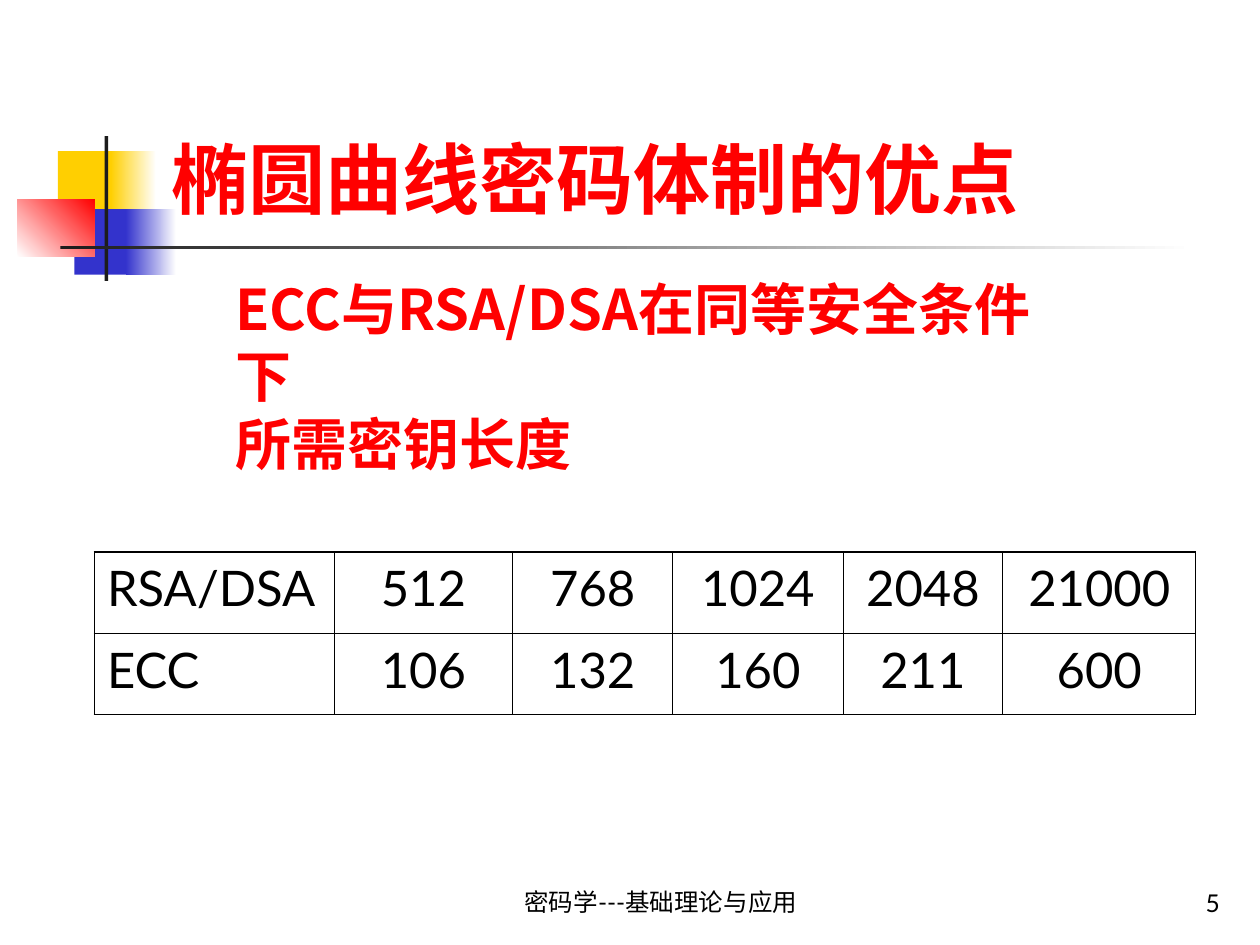
from lxml import etree
from pptx import Presentation
from pptx.dml.color import RGBColor
from pptx.enum.shapes import MSO_SHAPE
from pptx.enum.text import MSO_ANCHOR, PP_ALIGN
from pptx.oxml.ns import qn
from pptx.util import Inches, Pt

RECT = MSO_SHAPE.RECTANGLE
BOTTOM = MSO_ANCHOR.BOTTOM
LEFT, CENTER, RIGHT = PP_ALIGN.LEFT, PP_ALIGN.CENTER, PP_ALIGN.RIGHT

COLORS = {
    "white": "FFFFFF",
    "black": "000000",
    "ink": "1C1C1C",
    "red": "FF0000",
    "yellow": "FFCF01",
    "blue": "3333CC",
}
LATIN, CJK = "Lato", "Noto Sans CJK SC"
THIN, THICK = 0.45, 1.08


def rgb(name):
    return RGBColor.from_string(COLORS[name])


class Deck:
    """Holds the style and the current slide."""

    def __init__(self):
        self.prs = Presentation()
        self.prs.slide_width = Inches(10)
        self.prs.slide_height = Inches(7.5)
        self.s = self.prs.slides.add_slide(self.prs.slide_layouts[6])

    def font(self, p, size, color="black", bold=False, name=LATIN):
        f = p.font
        f.size, f.bold, f.name = Pt(size), bold, name
        f.color.rgb = rgb(color)
        # East Asian typeface follows the latin one
        latin = p._p.pPr.find(qn("a:defRPr")).find(qn("a:latin"))
        ea = etree.Element(qn("a:ea"), typeface=CJK)
        latin.addnext(ea)

    def rect(self, x, y, w, h, color, fade_to=None, angle=0):
        sp = self.s.shapes.add_shape(RECT, Inches(x), Inches(y), Inches(w), Inches(h))
        sp.shadow.inherit = False
        sp.line.fill.background()
        if fade_to:
            sp.fill.gradient()
            sp.fill.gradient_angle = angle
            for stop, name in zip(sp.fill.gradient_stops, (color, fade_to)):
                stop.color.rgb = rgb(name)
        else:
            sp.fill.solid()
            sp.fill.fore_color.rgb = rgb(color)

    def text(self, x, y, w, h, text, size, align=LEFT, **style):
        sp = self.s.shapes.add_textbox(Inches(x), Inches(y), Inches(w), Inches(h))
        tf = sp.text_frame
        tf.word_wrap = True
        tf.vertical_anchor = BOTTOM
        p = tf.paragraphs[0]
        p.text = text
        p.alignment = align
        self.font(p, size, **style)

    def border(self, cell, sides):
        tcPr = cell._tc.get_or_add_tcPr()
        for i, (side, width) in enumerate(sides.items()):
            ln = etree.Element(qn(f"a:ln{side}"), w=str(Pt(width)))
            fill = etree.SubElement(ln, qn("a:solidFill"))
            etree.SubElement(fill, qn("a:srgbClr"), val=COLORS["black"])
            tcPr.insert(i, ln)

    def table(self, x, y, widths, heights, rows, size):
        n_rows, n_cols = len(rows), len(widths)
        tbl = self.s.shapes.add_table(
            n_rows, n_cols, Inches(x), Inches(y),
            Inches(sum(widths)), Inches(sum(heights))).table
        tbl.first_row = tbl.horz_banding = False
        for col, w in zip(tbl.columns, widths):
            col.width = Inches(w)
        for r, (row, h) in enumerate(zip(rows, heights)):
            tbl.rows[r].height = Inches(h)
            for c, value in enumerate(row):
                cell = tbl.cell(r, c)
                cell.fill.background()
                p = cell.text_frame.paragraphs[0]
                p.text = value
                p.alignment = CENTER if c else LEFT
                self.font(p, size)
                # Thick lines on the outer edge only
                self.border(cell, {
                    "L": THICK if c == 0 else THIN,
                    "R": THICK if c == n_cols - 1 else THIN,
                    "T": THICK if r == 0 else THIN,
                    "B": THICK if r == n_rows - 1 else THIN,
                })


def main():
    deck = Deck()

    # Corner ornament: coloured blocks, vertical bar and fading rule
    deck.rect(0.46, 1.2, 0.48, 0.52, "yellow")
    deck.rect(0.88, 1.2, 0.36, 0.52, "yellow", "white")
    deck.rect(0.59, 1.66, 0.46, 0.52, "blue")
    deck.rect(1, 1.66, 0.4, 0.52, "blue", "white")
    deck.rect(0.14, 1.58, 0.61, 0.46, "white", "red", angle=45)
    deck.rect(0.83, 1.08, 0.03, 1.15, "ink")
    deck.rect(0.48, 1.95, 9, 0.03, "ink", "white")

    # Subtitle
    deck.text(1.77, 2.57, 6.69, 1.26, "ECC与RSA/DSA在同等安全条件下\v所需密钥长度",
              32, color="red", bold=True, name=CJK)

    # Key length table
    deck.table(0.75, 4.38, [1.9, 1.42, 1.27, 1.35, 1.27, 1.53], [0.65, 0.64], [
        ["RSA/DSA", "512", "768", "1024", "2048", "21000"],
        ["ECC", "106", "132", "160", "211", "600"],
    ], 28)

    # Title
    deck.text(1.26, 0.91, 8.52, 0.92, "椭圆曲线密码体制的优点", 44, color="red", bold=True)

    # Footer and page number
    deck.text(3.66, 6.82, 3.17, 0.5, "密码学---基础理论与应用", 14, CENTER)
    deck.text(7.7, 6.83, 2.08, 0.5, "5", 14, RIGHT)

    deck.prs.save("out.pptx")


if __name__ == "__main__":
    main()
